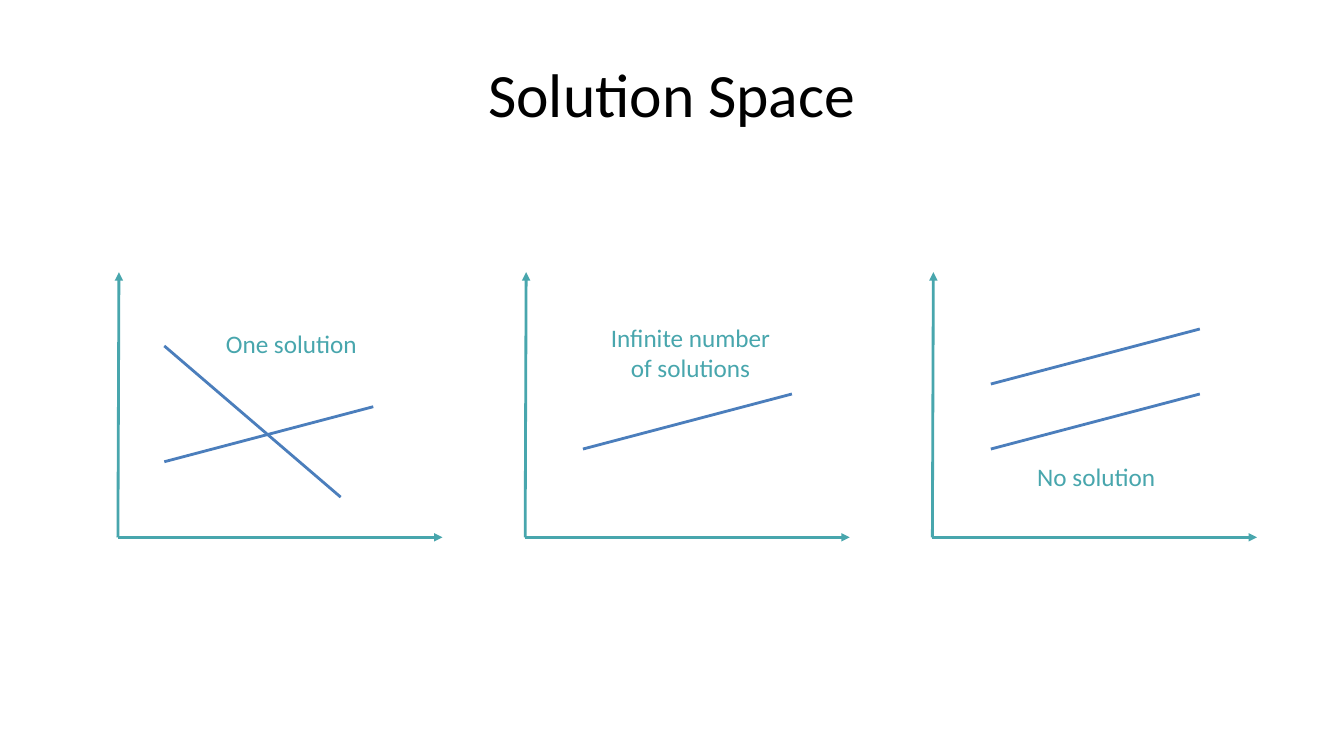
from typing import NamedTuple

from lxml import etree
from pptx import Presentation, util as u
from pptx.dml.color import RGBColor
from pptx.enum import shapes, text
from pptx.oxml.ns import qn

TEAL = RGBColor(0x48, 0xA6, 0xAD)
BLUE = RGBColor(0x4B, 0x7E, 0xBC)
BLACK = RGBColor(0x00, 0x00, 0x00)
FONT = "Calibri"

# Slide grid: 40 columns by 25 rows
WIDTH, HEIGHT = u.Inches(13.333), u.Inches(7.5)
COL, ROW = WIDTH / 40, HEIGHT / 25

# Every plot has its origin on one baseline, at an equal pitch
FIRST_COL, PITCH, BASELINE = 3.51, 12.12, 17.77
AXIS_RUN, AXIS_RISE, AXIS_LEAN = 9.66, 8.77, 0.03


class Point(NamedTuple):
    """Columns right of and rows above a plot's origin."""
    x: float
    y: float


class Segment(NamedTuple):
    start: Point
    end: Point


class Label(NamedTuple):
    lines: list[str]
    corner: Point
    cols: float
    rows: float


class Plot(NamedTuple):
    graphs: list[Segment]
    label: Label


def rising(x: float, y: float) -> Segment:
    """A graph with the slope that all the rising lines share."""
    return Segment(Point(x, y), Point(x + 6.22, y + 1.82))


ORIGIN = Point(0, 0)
AXES = [Segment(ORIGIN, Point(AXIS_RUN, 0)),
        Segment(ORIGIN, Point(AXIS_LEAN, AXIS_RISE))]
PLOTS = [
    Plot([Segment(Point(1.38, 6.33), Point(6.63, 1.33)), rising(1.38, 2.5)],
         Label(["One solution"], Point(2.88, 7.07), 4.56, 1.33)),
    Plot([rising(1.72, 2.92)],
         Label(["Infinite number", "of solutions"], Point(2.22, 7.27), 5.4, 2.37)),
    Plot([rising(1.74, 2.92), rising(1.74, 5.07)],
         Label(["No solution"], Point(2.79, 2.67), 4.17, 1.33)),
]


def place(p: Point, left: float) -> tuple[int, int]:
    return round((left + p.x) * COL), round((BASELINE - p.y) * ROW)


def add_line(sp_tree, seg: Segment, left: float, color: RGBColor, arrow: bool = False) -> None:
    line = sp_tree.add_connector(shapes.MSO_CONNECTOR.STRAIGHT,
                                 *place(seg.start, left), *place(seg.end, left))
    line.line.color.rgb = color
    line.line.width = u.Pt(2)
    if arrow:
        etree.SubElement(line.line._get_or_add_ln(), qn("a:tailEnd"), type="triangle")
    etree.SubElement(line._element.spPr, qn("a:effectLst"))


def add_text(sp_tree, lines: list[str], box: tuple[int, int, int, int],
             size: int, color: RGBColor):
    tf = sp_tree.add_textbox(*box).text_frame
    tf.text = "\n".join(lines)
    for p in tf.paragraphs:
        p.alignment = text.PP_ALIGN.CENTER
        p.font.name, p.font.size = FONT, u.Pt(size)
        p.font.color.rgb = color
    return tf


def add_plot(slide, plot: Plot, left: float) -> None:
    group = slide.shapes.add_group_shape().shapes
    for axis in AXES:
        add_line(group, axis, left, TEAL, arrow=True)
    for graph in plot.graphs:
        add_line(group, graph, left, BLUE)
    label = plot.label
    box = (*place(label.corner, left), round(label.cols * COL), round(label.rows * ROW))
    tf = add_text(group, label.lines, box, 18, TEAL)
    tf.word_wrap = False
    tf.auto_size = text.MSO_AUTO_SIZE.SHAPE_TO_FIT_TEXT


def main() -> None:
    prs = Presentation()
    prs.slide_width, prs.slide_height = WIDTH, HEIGHT
    s = prs.slides.add_slide(prs.slide_layouts[6])

    # Title
    box = (round(2 * COL), round(ROW), round(36 * COL), round(4.17 * ROW))
    title = add_text(s.shapes, ["Solution Space"], box, 44, BLACK)
    title.word_wrap = True
    title.vertical_anchor = text.MSO_ANCHOR.MIDDLE

    # Three plots in a row
    for i, plot in enumerate(PLOTS):
        add_plot(s, plot, FIRST_COL + i * PITCH)

    prs.save("out.pptx")


if __name__ == "__main__":
    main()
